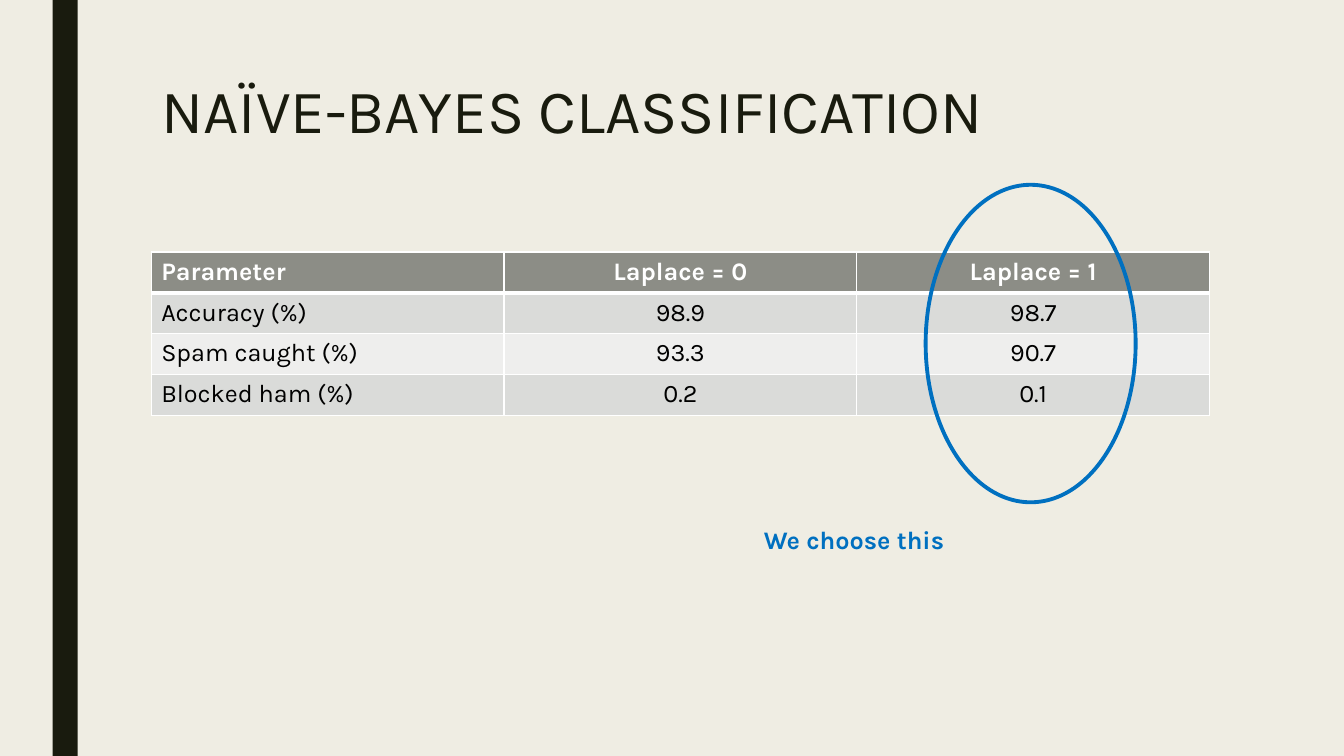
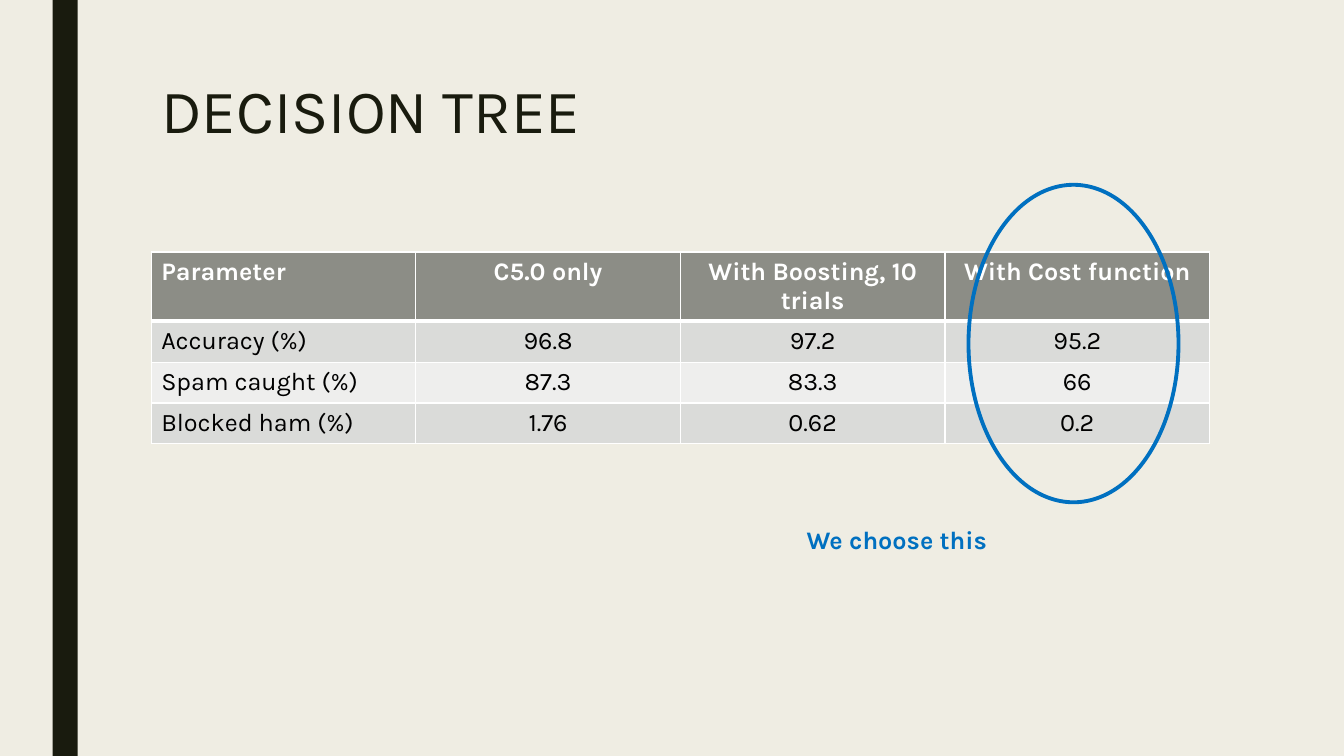
from lxml.etree import SubElement
from pptx import Presentation
from pptx.dml.color import RGBColor
from pptx.enum.shapes import MSO_SHAPE as Shape
from pptx.enum.text import MSO_ANCHOR as Anchor, MSO_AUTO_SIZE as AutoSize, PP_ALIGN as Align
from pptx.oxml.ns import qn
from pptx.util import Inches, Pt

INK = RGBColor(0x19, 0x1B, 0x0E)
PAPER = RGBColor(0xEF, 0xED, 0xE3)
HEADER = RGBColor(0x8C, 0x8D, 0x86)
BAND_DARK = RGBColor(0xDA, 0xDB, 0xD9)
BAND_LIGHT = RGBColor(0xEE, 0xEE, 0xED)
WHITE = RGBColor(0xFF, 0xFF, 0xFF)
BLACK = RGBColor(0x00, 0x00, 0x00)
ACCENT = RGBColor(0x00, 0x70, 0xC0)

FONT = "Karla"
COLUMNS, ROWS = 160, 90
MARGIN, CONTENT_WIDTH = 18, 126
TABLE_TOP, TABLE_ROW = 30, 4.87
RING_TOP, RING_WIDTH, RING_HEIGHT = 22, 25, 37.8
NOTE_TOP, NOTE_SHIFT, NOTE_WIDTH, NOTE_HEIGHT = 61.8, 20.45, 29.9, 4.8
PARAMETERS = ["Parameter", "Accuracy (%)", "Spam caught (%)", "Blocked ham (%)"]


class Deck:
    def __init__(self):
        self.presentation = Presentation()
        self.presentation.slide_width = Inches(13.333)
        self.presentation.slide_height = Inches(7.5)
        background = self.presentation.slide_master.background.fill
        background.solid()
        background.fore_color.rgb = PAPER
        self.slide = None

    def box(self, column, row, width, height):
        across = self.presentation.slide_width / COLUMNS
        down = self.presentation.slide_height / ROWS
        return [round(n) for n in (column * across, row * down, width * across, height * down)]

    def style(self, paragraph, size, color, bold=False, align=Align.LEFT):
        paragraph.alignment = align
        font = paragraph.font
        font.name, font.size, font.bold = FONT, Pt(size), bold
        font.color.rgb = color

    def new_slide(self, heading):
        layout = self.presentation.slide_layouts.get_by_name("Title Only")
        self.slide = self.presentation.slides.add_slide(layout)
        band = self.shape(Shape.RECTANGLE, 6.25, 0, 3, ROWS)
        band.fill.solid()
        band.fill.fore_color.rgb = INK
        band.line.fill.background()
        title = self.slide.shapes.title
        title.left, title.top, title.width, title.height = self.box(MARGIN, 9, CONTENT_WIDTH, 19.5)
        frame = title.text_frame
        frame.text = heading
        frame.vertical_anchor = Anchor.TOP
        frame.auto_size = AutoSize.NONE
        self.style(frame.paragraphs[0], 44, INK)
        frame.paragraphs[0].line_spacing = 0.89

    def shape(self, preset, *place):
        shape = self.slide.shapes.add_shape(preset, *self.box(*place))
        shape.shadow.inherit = False
        return shape

    def border(self, cell, **widths):
        properties = cell._tc.get_or_add_tcPr()
        for side, points in widths.items():
            line = SubElement(properties, qn(f"a:ln{side}"), w=str(Pt(points)))
            SubElement(SubElement(line, qn("a:solidFill")), qn("a:srgbClr"), val=str(WHITE))

    def table(self, records):
        place = self.box(MARGIN, TABLE_TOP, CONTENT_WIDTH, TABLE_ROW * len(records))
        table = self.slide.shapes.add_table(len(records), len(records[0]), *place).table
        for r, record in enumerate(records):
            fill = HEADER if r == 0 else BAND_DARK if r % 2 else BAND_LIGHT
            for c, text in enumerate(record):
                cell = table.cell(r, c)
                cell.text = text
                self.border(cell, L=1, R=1, T=3 if r == 1 else 1, B=3 if r == 0 else 1)
                cell.fill.solid()
                cell.fill.fore_color.rgb = fill
                self.style(cell.text_frame.paragraphs[0], 18, BLACK if r else WHITE,
                           r == 0, Align.CENTER if c else Align.LEFT)

    def choice(self, column):
        ring = self.shape(Shape.OVAL, column, RING_TOP, RING_WIDTH, RING_HEIGHT)
        ring.fill.background()
        ring.line.color.rgb = ACCENT
        ring.line.width = Pt(2.75)
        place = self.box(column - NOTE_SHIFT, NOTE_TOP, NOTE_WIDTH, NOTE_HEIGHT)
        note = self.slide.shapes.add_textbox(*place).text_frame
        note.word_wrap = True
        note.auto_size = AutoSize.SHAPE_TO_FIT_TEXT
        note.text = "We choose this"
        self.style(note.paragraphs[0], 18, ACCENT, bold=True)

    def comparison(self, heading, models, chosen_column):
        self.new_slide(heading)
        self.table(list(zip(PARAMETERS, *models)))
        self.choice(chosen_column)


def main():
    deck = Deck()
    deck.comparison("NAÏVE-BAYES CLASSIFICATION", [
        ("Laplace = 0", "98.9", "93.3", "0.2"),
        ("Laplace = 1", "98.7", "90.7", "0.1"),
    ], 110.2)
    deck.comparison("DECISION TREE", [
        ("C5.0 only", "96.8", "87.3", "1.76"),
        ("With Boosting, 10 trials", "97.2", "83.3", "0.62"),
        ("With Cost function", "95.2", "66", "0.2"),
    ], 115.3)
    deck.presentation.save("out.pptx")


if __name__ == "__main__":
    main()
